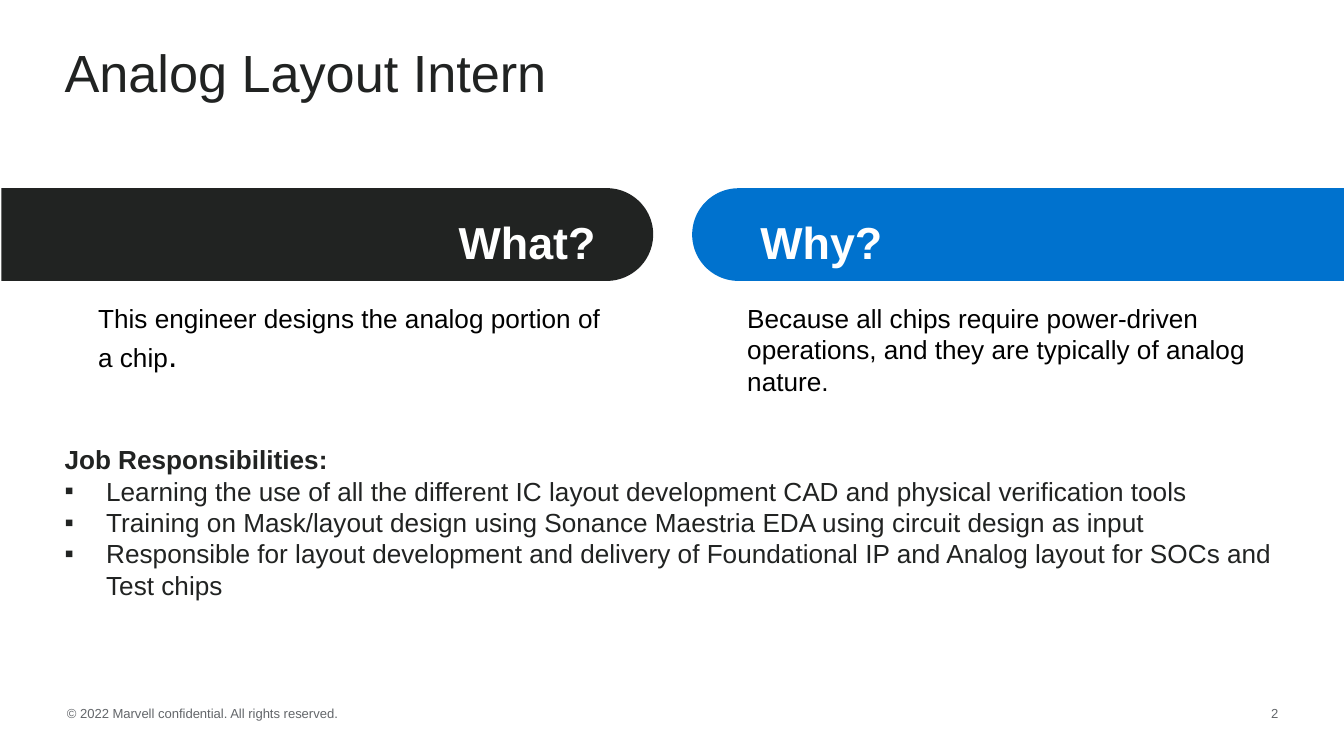
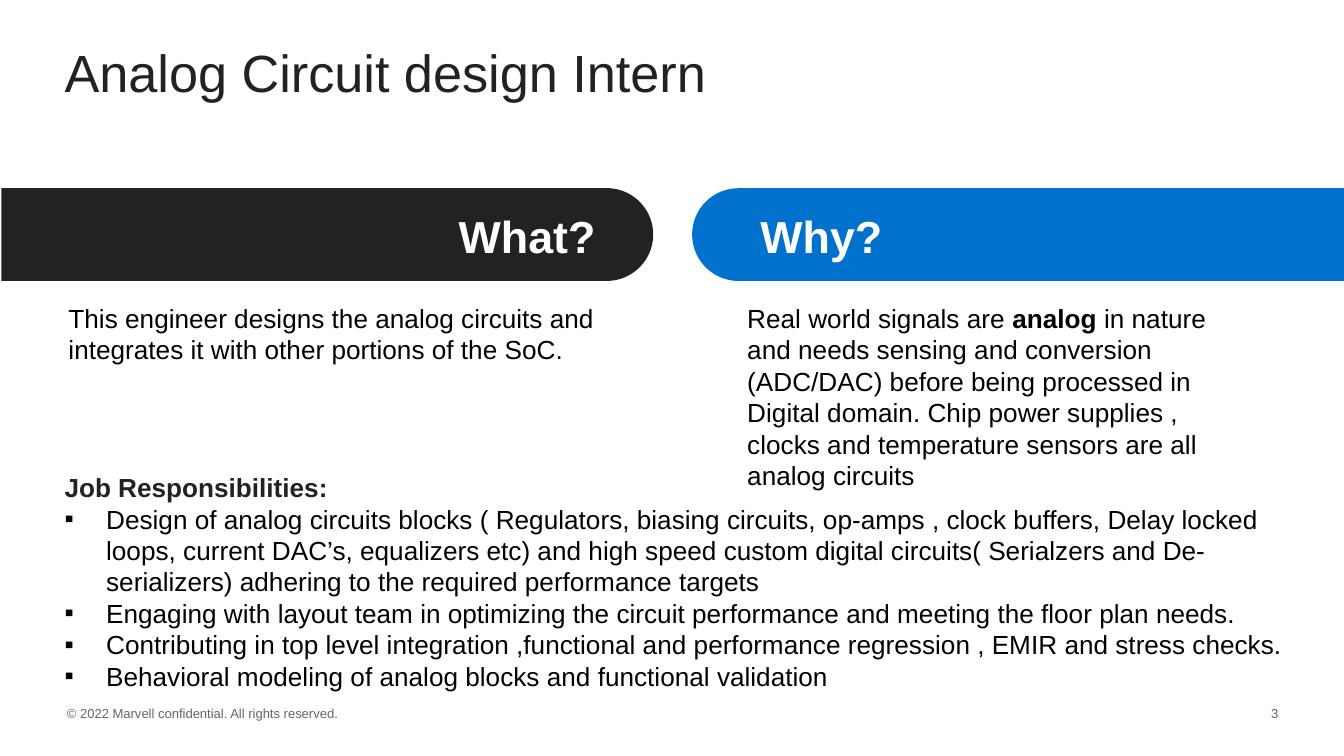
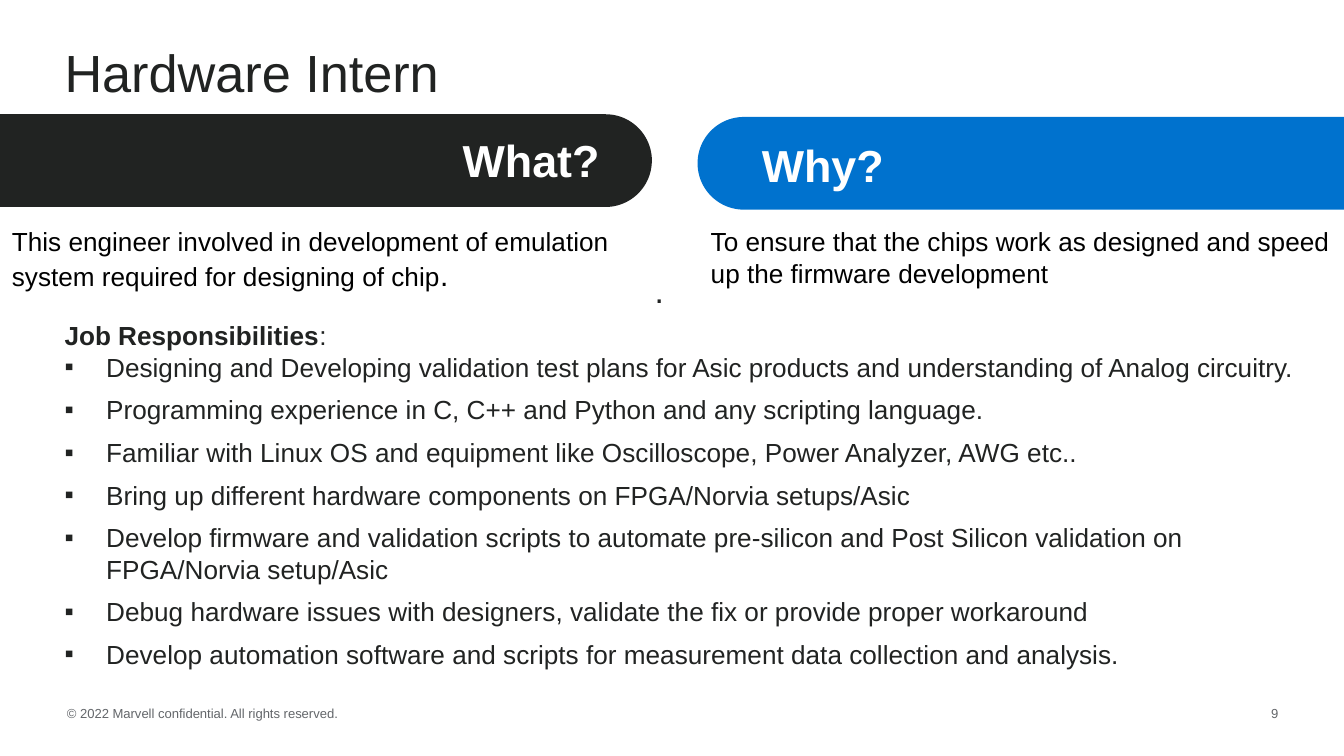
from dataclasses import dataclass
from lxml.etree import SubElement as Sub
from pptx import Presentation
from pptx.dml.color import RGBColor as Rgb
from pptx.enum.shapes import MSO_SHAPE as Shape
from pptx.enum.text import MSO_ANCHOR as Anchor, MSO_AUTO_SIZE as Fit, PP_ALIGN as Align
from pptx.oxml.ns import qn
from pptx.util import Inches, Pt


@dataclass(frozen=True)
class Theme:
    """Colours, type sizes and font of the deck."""
    ink: Rgb = Rgb.from_string("212322")
    blue: Rgb = Rgb.from_string("0072CE")
    grey: Rgb = Rgb.from_string("63666A")
    black: Rgb = Rgb.from_string("000000")
    white: Rgb = Rgb.from_string("FFFFFF")
    face: str = "Arial"
    title: Pt = Pt(28)
    head: Pt = Pt(24)
    stop: Pt = Pt(18)
    dot: Pt = Pt(16)
    body: Pt = Pt(14)
    foot: Pt = Pt(7)


LOOK = Theme()
LEGAL = "© 2022 Marvell confidential. All rights reserved."
BOLD = {"bold": True}


def assign(thing, values):
    """Set each named value on an object."""
    for key, value in values.items():
        setattr(thing, key, value)


def place(shape, box):
    """Move a shape to left, top, width, height in inches."""
    names = ("left", "top", "width", "height")
    assign(shape, dict(zip(names, map(Inches, box))))


def write(para, runs, size, color, **form):
    """Add runs, each a string or a pair of string and font values."""
    assign(para, {"space_before": Pt(0), **form})
    for item in runs:
        text, extra = (item, {}) if isinstance(item, str) else item
        run = para.add_run()
        run.text = text
        assign(run.font, {"name": LOOK.face, "size": size, "bold": False, **extra})
        run.font.color.rgb = color


def setup(frame, anchor=Anchor.TOP, inset=(0.1, 0.05)):
    """Set wrap, anchor and margins of a text frame."""
    side, edge = map(Inches, inset)
    assign(frame, {
        "word_wrap": True, "auto_size": Fit.NONE, "vertical_anchor": anchor,
        "margin_left": side, "margin_right": side,
        "margin_top": edge, "margin_bottom": edge,
    })


def label(slide, box, runs, size, color, frame=None, **form):
    """Add a text box of one paragraph."""
    shape = slide.shapes.add_textbox(*map(Inches, box))
    setup(shape.text_frame, **(frame or {}))
    write(shape.text_frame.paragraphs[0], runs, size, color, **form)


def band(slide, left, top, fill, turn):
    """Add a header band with one round end."""
    long, thick = 4.85, 0.69
    shift = (long - thick) / 2
    box = (left + shift, top - shift, thick, long)
    shape = slide.shapes.add_shape(Shape.ROUND_2_SAME_RECTANGLE, *map(Inches, box))
    shape.adjustments[0], shape.adjustments[1] = 0.5, 0
    shape.rotation = turn
    shape.shadow.inherit = False
    shape.fill.solid()
    shape.fill.fore_color.rgb = fill
    shape.line.fill.background()


def mark(para, sign=None):
    """Give a paragraph a hanging bullet, or none."""
    props = para._p.get_or_add_pPr()
    hang = Inches(0.31) if sign else 0
    props.set("marL", str(hang))
    props.set("indent", str(-hang))
    if sign:
        Sub(props, qn("a:buChar"), char=sign)
    else:
        Sub(props, qn("a:buNone"))


def duties(slide, box, head, items, color=LOOK.ink, after=0):
    """Fill the body placeholder with a heading and bullets."""
    shape = slide.placeholders[1]
    place(shape, box)
    frame = shape.text_frame
    setup(frame)
    mark(frame.paragraphs[0])
    write(frame.paragraphs[0], head, LOOK.body, LOOK.ink, space_after=Pt(0))
    for item in items:
        para = frame.add_paragraph()
        mark(para, "▪")
        write(para, [item], LOOK.body, color, space_after=Pt(after))


def start(deck, title, page):
    """Add a slide with its title and footer."""
    slide = deck.slides.add_slide(deck.slide_layouts[1])
    shape = slide.shapes.title
    place(shape, (0.38, 0.3, 9.25, 0.9))
    setup(shape.text_frame)
    write(shape.text_frame.paragraphs[0], [title], LOOK.title, LOOK.ink,
          alignment=Align.LEFT, line_spacing=0.9)
    mid = {"anchor": Anchor.MIDDLE}
    label(slide, (0.4, 5.2, 2.7, 0.22), [LEGAL], LOOK.foot, LOOK.grey, mid)
    label(slide, (9.21, 5.2, 0.4, 0.22), [page], LOOK.foot, LOOK.grey, mid,
          alignment=Align.RIGHT)
    return slide


def heads(slide, what, why, dark=(0.01, 1.4), light=(5.15, 1.4)):
    """Add the two bands and their headings."""
    band(slide, *light, LOOK.blue, 270)
    band(slide, *dark, LOOK.ink, 90)
    for box, text, side in ((why, "Why?", Align.LEFT), (what, "What?", Align.RIGHT)):
        label(slide, box, [(text, BOLD)], LOOK.head, LOOK.white,
              {"anchor": Anchor.MIDDLE}, alignment=side)


def note(slide, box, *runs, inset=(0, 0)):
    """Add an answer below a band."""
    label(slide, box, runs, LOOK.body, LOOK.black, {"inset": inset})


def layout(deck):
    """Build the layout intern slide."""
    slide = start(deck, "Analog Layout Intern", "2")
    heads(slide, (2.13, 1.41, 2.4, 0.77), (5.56, 1.41, 2.4, 0.77))
    note(slide, (5.56, 2.25, 3.71, 0.71),
         "Because all chips require power-driven operations, and they are typically of analog nature.")
    note(slide, (0.73, 2.25, 3.79, 0.56),
         "This engineer designs the analog portion of a chip", (".", {"size": LOOK.stop}))
    duties(slide, (0.38, 3.25, 9.53, 1.93), [("Job Responsibilities:", BOLD)], [
        "Learning the use of all the different IC layout development CAD and physical verification tools",
        "Training on Mask/layout design using Sonance Maestria EDA using circuit design as input",
        "Responsible for layout development and delivery of Foundational IP and Analog layout for SOCs and Test chips",
    ])


def circuit(deck):
    """Build the circuit design intern slide."""
    slide = start(deck, "Analog Circuit design Intern", "3")
    heads(slide, (2.13, 1.41, 2.4, 0.69), (5.56, 1.41, 2.4, 0.69))
    note(slide, (5.56, 2.25, 3.71, 1.41), "Real world signals are ", ("analog", BOLD),
         " in nature and needs sensing and conversion (ADC/DAC) before being processed in Digital domain. "
         "Chip power supplies , clocks and temperature sensors are all analog circuits")
    note(slide, (0.51, 2.25, 4.03, 0.47),
         "This engineer designs the analog circuits and integrates it with other portions of the SoC.")
    duties(slide, (0.38, 3.46, 9.56, 1.9), [("Job Responsibilities:", BOLD)], [
        "Design of analog circuits blocks ( Regulators, biasing circuits, op-amps , clock buffers, "
        "Delay locked loops, current DAC’s, equalizers etc) and high speed custom digital circuits"
        "( Serialzers and De-serializers) adhering to the required performance targets",
        "Engaging with layout team in optimizing the circuit performance and meeting the floor plan needs.",
        "Contributing in top level integration ,functional and performance regression , EMIR and stress checks.",
        "Behavioral modeling of analog blocks and functional validation",
    ], LOOK.black)


def hardware(deck):
    """Build the hardware intern slide."""
    slide = start(deck, "Hardware Intern", "9")
    heads(slide, (2.16, 0.91, 2.4, 0.56), (5.57, 0.88, 2.4, 0.69), (0, 0.85), (5.19, 0.87))
    label(slide, (0.61, 2.01, 4.33, 0.3), ["."], LOOK.stop, LOOK.ink,
          {"inset": (0, 0)}, alignment=Align.RIGHT)
    duties(slide, (0.38, 2.33, 9.63, 2.9), [("Job Responsibilities", BOLD), ":"], [
        "Designing and Developing validation test plans for Asic products and understanding of Analog circuitry.",
        "Programming experience in C, C++ and Python and any scripting language.",
        "Familiar with Linux OS and equipment like Oscilloscope, Power Analyzer, AWG etc..",
        "Bring up different hardware components on FPGA/Norvia setups/Asic",
        "Develop firmware and validation scripts to automate pre-silicon and Post Silicon validation on "
        "FPGA/Norvia setup/Asic",
        "Debug hardware issues with designers, validate the fix or provide proper workaround",
        "Develop automation software and scripts for measurement data collection and analysis.",
    ], after=6)
    pad = (0.1, 0.05)
    note(slide, (-0.01, 1.63, 4.66, 0.61),
         "This engineer involved in development of emulation system required for designing of chip",
         (".", {"size": LOOK.dot}), inset=pad)
    note(slide, (5.19, 1.63, 5.03, 0.57),
         "To ensure that the chips work as designed and speed up the firmware development", inset=pad)


def main():
    """Build and save the deck."""
    deck = Presentation()
    wide = Inches(10)
    assign(deck, {"slide_width": wide, "slide_height": wide * 9 // 16})
    for build in (layout, circuit, hardware):
        build(deck)
    deck.save("out.pptx")


if __name__ == "__main__":
    main()
